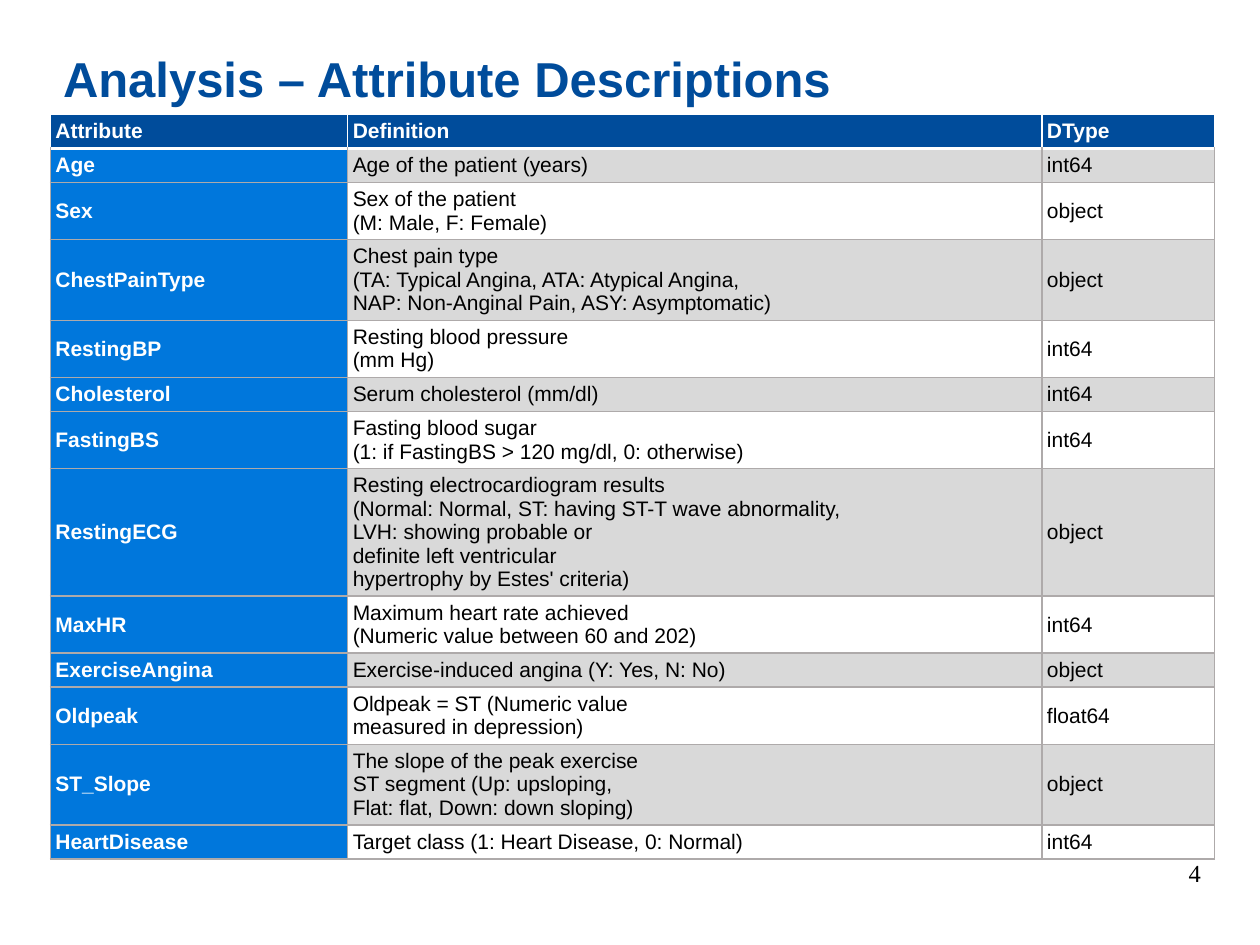
import pptx
import pptx.util
import pptx.dml.color
import pptx.enum.text
import pptx.oxml
import pptx.oxml.ns

Inches = pptx.util.Inches
Pt = pptx.util.Pt
ALIGN = pptx.enum.text.PP_ALIGN
ANCHOR = pptx.enum.text.MSO_ANCHOR
COLORS = {"navy": "004C9B", "blue": "0077DC", "gray": "D9D9D9",
          "line": "AEAAAA", "white": "FFFFFF", "black": "000000"}
ROWS = [
    ("Attribute", "Definition", "DType"),
    ("Age", "Age of the patient (years)", "int64"),
    ("Sex", "Sex of the patient\n(M: Male, F: Female)", "object"),
    ("ChestPainType", "Chest pain type\n(TA: Typical Angina, ATA: Atypical Angina,\n"
     "NAP: Non-Anginal Pain, ASY: Asymptomatic)", "object"),
    ("RestingBP", "Resting blood pressure\n(mm Hg)", "int64"),
    ("Cholesterol", "Serum cholesterol (mm/dl)", "int64"),
    ("FastingBS", "Fasting blood sugar\n(1: if FastingBS > 120 mg/dl, 0: otherwise)", "int64"),
    ("RestingECG", "Resting electrocardiogram results\n"
     "(Normal: Normal, ST: having ST-T wave abnormality,\nLVH: showing probable or\n"
     "definite left ventricular\nhypertrophy by Estes' criteria)", "object"),
    ("MaxHR", "Maximum heart rate achieved\n(Numeric value between 60 and 202)", "int64"),
    ("ExerciseAngina", "Exercise-induced angina (Y: Yes, N: No)", "object"),
    ("Oldpeak", "Oldpeak = ST (Numeric value\nmeasured in depression)", "float64"),
    ("ST_Slope", "The slope of the peak exercise\nST segment (Up: upsloping,\n"
     "Flat: flat, Down: down sloping)", "object"),
    ("HeartDisease", "Target class (1: Heart Disease, 0: Normal)", "int64"),
]


def style(frame, color, **form):
    for par in frame.paragraphs:
        for key, val in form.items():
            setattr(par.font, key, val)
        par.font.color.rgb = pptx.dml.color.RGBColor.from_string(COLORS[color])


def border(cell, sides):
    """Put left, right, top and bottom lines ahead of the cell's fill."""
    props = cell._tc.get_or_add_tcPr()
    for spot, (side, (color, width)) in enumerate(sides.items()):
        props.insert(spot, pptx.oxml.parse_xml(
            f'<a:ln{side} {pptx.oxml.ns.nsdecls("a")} w="{Pt(width)}"><a:solidFill>'
            f'<a:srgbClr val="{COLORS[color]}"/></a:solidFill></a:ln{side}>'))


deck = pptx.Presentation()
deck.slide_width, deck.slide_height = Inches(10), Inches(7.5)
slide = deck.slides.add_slide(deck.slide_layouts[5])

title = slide.shapes.title
place = {"left": 0.4, "top": 0.43, "width": 9.24, "height": 1.17}
for key, val in place.items():
    setattr(title, key, Inches(val))
frame = title.text_frame
frame.text = "Analysis – Attribute Descriptions"
frame.auto_size = pptx.enum.text.MSO_AUTO_SIZE.NONE
frame.vertical_anchor = ANCHOR.TOP
frame.paragraphs[0].alignment = ALIGN.LEFT
frame.paragraphs[0].line_spacing = Pt(26.6)
style(frame, "navy", name="Arial", size=Pt(28), bold=True)

table = slide.shapes.add_table(len(ROWS), 3, Inches(0.4), Inches(0.91),
                               Inches(9.24), Inches(5.96)).table
for col, width in zip(table.columns, (2.36, 5.51, 1.37)):
    col.width = Inches(width)
for r, row in enumerate(ROWS):
    table.rows[r].height = Inches(0.1 + 0.17 * len(row[1].split("\n")))
    for c, text in enumerate(row):
        cell = table.cell(r, c)
        cell.text = text
        cell.vertical_anchor = ANCHOR.MIDDLE
        for side in ("left", "right", "top", "bottom"):
            setattr(cell, f"margin_{side}", Inches(0.04))
        head = r == 0 or c == 0
        style(cell.text_frame, "white" if head else "black",
              name="Arial", size=Pt(12), bold=head)
        fill = "navy" if r == 0 else "blue" if c == 0 else "gray" if r % 2 else "white"
        cell.fill.solid()
        cell.fill.fore_color.rgb = pptx.dml.color.RGBColor.from_string(COLORS[fill])
        edge = ("white" if r == 0 else "line", 1)
        rule = ("white", 2.25)
        border(cell, {"L": edge, "R": edge, "T": rule if r == 1 else edge,
                      "B": rule if r == 0 else edge})

num = slide.shapes.add_textbox(Inches(8.91), Inches(6.73), Inches(0.72), Inches(0.4))
frame = num.text_frame
frame.text = "4"
frame.word_wrap = True
frame.vertical_anchor = ANCHOR.MIDDLE
frame.paragraphs[0].alignment = ALIGN.RIGHT
style(frame, "black", name="Times New Roman", size=Pt(14))

deck.save("out.pptx")
